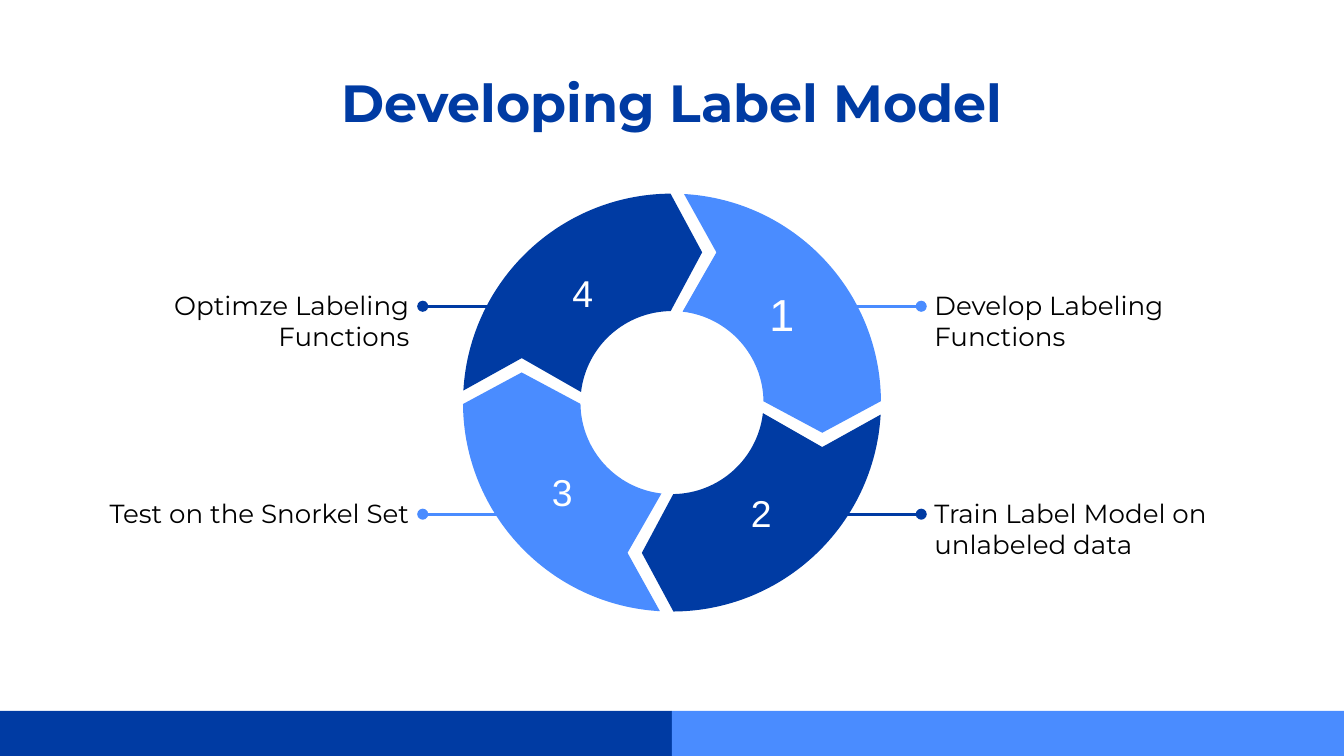
"""Build a slide with a four-step ring of arrows and a label for each step."""
import dataclasses
import math

import lxml.etree
import pptx
import pptx.dml.color
import pptx.enum.shapes
import pptx.enum.text
import pptx.oxml.ns
import pptx.util

Cm = pptx.util.Cm
Align = pptx.enum.text.PP_ALIGN
qn = pptx.oxml.ns.qn


@dataclasses.dataclass(frozen=True)
class Theme:
    """Colours, fonts and type sizes of the slide."""
    dark: str = "003BA3"
    light: str = "4A8CFF"
    ink: str = "000000"
    paper: str = "FFFFFF"
    font: str = "Montserrat"
    digit: str = "Arial"
    title: int = 28
    label: int = 14
    first: int = 24
    number: int = 20
    line: float = 1.5


THEME = Theme()
WIDTH, HEIGHT = 25.4, 14.29
MID_X, MID_Y = WIDTH / 2, 7.61
OUTER, INNER = 3.95, 1.73


def color(code):
    """Turn a hex code into a colour."""
    return pptx.dml.color.RGBColor.from_string(code)


def paint(shape, code):
    """Give a shape a flat fill with no outline or shadow."""
    shape.shadow.inherit = False
    shape.fill.solid()
    shape.fill.fore_color.rgb = color(code)
    shape.line.fill.background()


def write(shape, text, size, code, face, align, bold=False):
    """Put one styled paragraph in a shape."""
    frame = shape.text_frame
    frame.word_wrap = True
    frame.margin_left = frame.margin_right = Cm(0.25)
    frame.margin_top = frame.margin_bottom = Cm(0.25)
    para = frame.paragraphs[0]
    para.text = text
    para.alignment = align
    para.font.size = pptx.util.Pt(size)
    para.font.name = face
    para.font.bold = bold
    para.font.color.rgb = color(code)


def add_text(slide, box, *style, **extra):
    """Add a text box whose text starts at the top."""
    shape = slide.shapes.add_textbox(*map(Cm, box))
    write(shape, *style, **extra)
    shape.text_frame.vertical_anchor = pptx.enum.text.MSO_ANCHOR.TOP
    return shape


def add_bar(slide, left, code):
    """Add one half of the footer band."""
    kind = pptx.enum.shapes.MSO_SHAPE.RECTANGLE
    top = 13.44
    bar = slide.shapes.add_shape(
        kind, Cm(left), Cm(top), Cm(WIDTH / 2), Cm(HEIGHT - top))
    paint(bar, code)


def arc(radius, start, end):
    """List the four Bezier points of an arc between two angles in degrees."""
    first, last = math.radians(start), math.radians(end)
    pull = 4 / 3 * math.tan((last - first) / 4)

    def spot(turn, reach):
        """Find a point on the tangent at an angle."""
        return (radius * (math.cos(turn) - reach * math.sin(turn)),
                radius * (math.sin(turn) + reach * math.cos(turn)))

    return [spot(first, 0), spot(first, pull),
            spot(last, -pull), spot(last, 0)]


def bend(shape, starts):
    """Merge three line segments into one curve at each start index."""
    lines = list(shape._element.spPr.iter(qn("a:lnTo")))
    for start in starts:
        curve = lxml.etree.Element(qn("a:cubicBezTo"))
        lines[start].addprevious(curve)
        for line in lines[start:start + 3]:
            curve.append(line[0])
            line.getparent().remove(line)


def add_step(slide, index, size, code):
    """Add one arrow of the ring, turned by quarter turns."""
    points = [(0.84, -2.84), *arc(INNER, -83.4, -0.8),
              (2.84, 0.57), *arc(OUTER, -0.4, -86.7)]
    for _ in range(index):
        points = [(-y, x) for x, y in points]
    spots = [(Cm(MID_X + x), Cm(MID_Y + y)) for x, y in points]
    builder = slide.shapes.build_freeform(*spots[0])
    builder.add_line_segments(spots[1:], close=False)
    step = builder.convert_to_shape()
    bend(step, (1, 6))
    outline = next(step._element.spPr.iter(qn("a:path")))
    lxml.etree.SubElement(outline, qn("a:close"))
    paint(step, code)
    write(step, str(index + 1), size, THEME.paper, THEME.digit, Align.CENTER)
    step.text_frame.vertical_anchor = pptx.enum.text.MSO_ANCHOR.MIDDLE


def add_lead(slide, start, label, side, code):
    """Join the ring to the side of a label with a dot at the end."""
    mid = label.top + label.height // 2
    kind = pptx.enum.shapes.MSO_CONNECTOR.STRAIGHT
    lead = slide.shapes.add_connector(kind, Cm(start), mid, label.left, mid)
    lead.end_connect(label, side)
    lead.line.color.rgb = color(code)
    lead.line.width = pptx.util.Pt(THEME.line)
    line = lead.line._get_or_add_ln()
    lxml.etree.SubElement(line, qn("a:tailEnd"), type="oval")
    lxml.etree.SubElement(lead._element.spPr, qn("a:effectLst"))


def add_label(slide, text, right, top, width, code):
    """Add a label on one side of the ring and its lead line."""
    gap = 4.71
    left = MID_X + gap if right else MID_X - gap - width
    align = Align.LEFT if right else Align.RIGHT
    label = add_text(slide, (left, top, width, 1.14), text, THEME.label,
                     THEME.ink, THEME.font, align)
    start = MID_X + (2.69 if right else -2.69)
    add_lead(slide, start, label, 1 if right else 3, code)


def main():
    """Build and save the slide."""
    deck = pptx.Presentation()
    deck.slide_width, deck.slide_height = Cm(WIDTH), Cm(HEIGHT)
    slide = deck.slides.add_slide(deck.slide_layouts[6])
    add_bar(slide, 0, THEME.dark)
    add_bar(slide, WIDTH / 2, THEME.light)
    add_text(slide, (1.99, 1.07, 21.42, 2.59), "Developing Label Model",
             THEME.title, THEME.dark, THEME.font, Align.CENTER, bold=True)
    high, low = 5.22, 9.15
    steps = [
        ("Develop Labeling Functions", True, high, 6.02, THEME.light),
        ("Train Label Model on unlabeled data", True, low, 6.02, THEME.dark),
        ("Test on the Snorkel Set", False, low, 6.86, THEME.light),
        ("Optimze Labeling Functions", False, high, 6.02, THEME.dark),
    ]
    for index, step in enumerate(steps):
        size = THEME.number if index else THEME.first
        add_step(slide, index, size, step[-1])
        add_label(slide, *step)
    deck.save("out.pptx")


if __name__ == "__main__":
    main()
